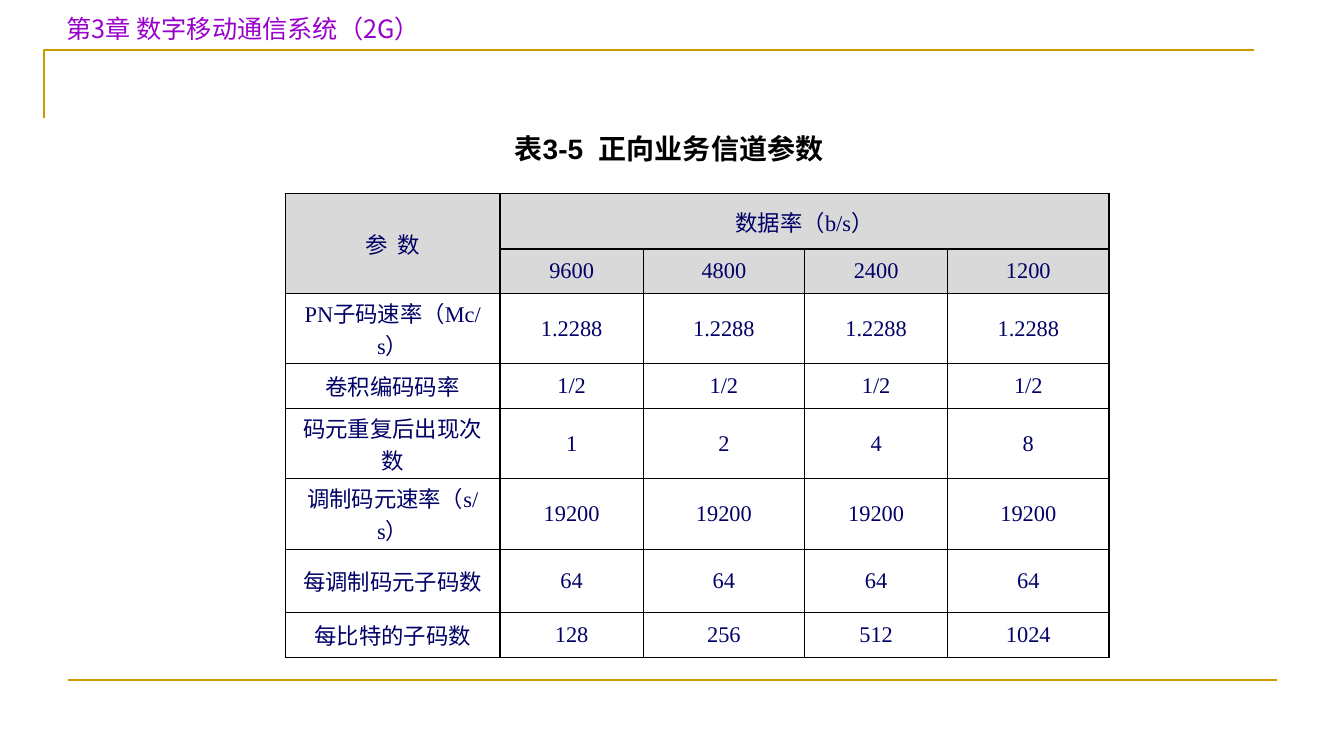
from lxml import etree
from pptx import Presentation
from pptx.dml.color import RGBColor
from pptx.enum import shapes, text
from pptx.oxml import ns
from pptx.util import Inches, Pt

# Content
CHAPTER = "第3章 数字移动通信系统（2G）"
CAPTION = "表3-5  正向业务信道参数"
CORNER, GROUP = "参  数", "数据率（b/s）"
RATES = ["9600", "4800", "2400", "1200"]
PARAMS = [
    ("PN子码速率（Mc/s）", ["1.2288"] * 4),
    ("卷积编码码率", ["1/2"] * 4),
    ("码元重复后出现次数", ["1", "2", "4", "8"]),
    ("调制码元速率（s/s）", ["19200"] * 4),
    ("每调制码元子码数", ["64"] * 4),
    ("每比特的子码数", ["128", "256", "512", "1024"]),
]

# Format values
GOLD, BLACK, GREY = "CC9900", "000000", "D9D9D9"
CJK = "Noto Sans CJK JP"
HEAD = {"size": Pt(18), "name": CJK, "bold": False, "color": "9900CC"}
TITLE = {"size": Pt(20), "name": "Arial", "bold": True, "color": BLACK}
CELL = {"size": Pt(16), "name": "Times New Roman", "bold": False,
        "color": "000066"}
COLS = [2.13, 1.42, 1.6, 1.42, 1.6]
ROWS = [0.55, 0.44, 0.7, 0.44, 0.7, 0.7, 0.63, 0.44]
LEFT, TOP = 2.83, 1.92


def rgb(code):
    return RGBColor.from_string(code)


def box(*sides):
    return [Inches(side) for side in sides]


def write(frame, words, form, align):
    """Fill a text frame with one formatted paragraph."""
    para = frame.paragraphs[0]
    para.alignment = align
    run = para.add_run()
    run.text = words
    for key, value in form.items():
        if key == "color":
            run.font.color.rgb = rgb(value)
        else:
            setattr(run.font, key, value)
    east = etree.SubElement(run.font._element, ns.qn("a:ea"))
    east.set("typeface", CJK)


def frame_up(frame, anchor):
    frame.word_wrap = True
    frame.auto_size = text.MSO_AUTO_SIZE.NONE
    frame.vertical_anchor = anchor


def border(cell):
    """Draw a thin black line on all four sides."""
    props = cell._tc.get_or_add_tcPr()
    for spot, side in enumerate(("lnL", "lnR", "lnT", "lnB")):
        line = etree.Element(ns.qn("a:" + side), w=str(Pt(1)))
        fill = etree.SubElement(line, ns.qn("a:solidFill"))
        etree.SubElement(fill, ns.qn("a:srgbClr"), val=BLACK)
        props.insert(spot, line)


def add_rules(slide):
    # Corner rule at the top
    pen = slide.shapes.build_freeform(*box(0.44, 1.17))
    pen.add_line_segments([box(0.44, 0.5), box(12.44, 0.5)], close=False)
    corner = pen.convert_to_shape()
    corner.shadow.inherit = False
    corner.fill.background()
    # Straight rule at the foot
    foot = slide.shapes.add_connector(
        shapes.MSO_CONNECTOR.STRAIGHT, *box(0.67, 6.75, 12.67, 6.75))
    etree.SubElement(foot._element.spPr, ns.qn("a:effectLst"))
    for rule in (corner, foot):
        rule.line.color.rgb = rgb(GOLD)
        rule.line.width = Pt(1.5)


def add_titles(slide):
    chapter = slide.shapes.add_textbox(*box(0.56, 0.08, 5.78, 0.4))
    frame_up(chapter.text_frame, text.MSO_ANCHOR.TOP)
    write(chapter.text_frame, CHAPTER, HEAD, text.PP_ALIGN.LEFT)
    title = slide.shapes.title
    title.left, title.top, title.width, title.height = box(
        5, 1.25, 3.27, 0.44)
    frame_up(title.text_frame, text.MSO_ANCHOR.MIDDLE)
    write(title.text_frame, CAPTION, TITLE, text.PP_ALIGN.CENTER)


def add_grid(slide):
    grid = slide.shapes.add_table(
        len(ROWS), len(COLS),
        *box(LEFT, TOP, sum(COLS), sum(ROWS))).table
    for col, wide in zip(grid.columns, COLS):
        col.width = Inches(wide)
    for row, tall in zip(grid.rows, ROWS):
        row.height = Inches(tall)
    grid.cell(0, 0).merge(grid.cell(1, 0))
    grid.cell(0, 1).merge(grid.cell(0, 4))
    lines = [[CORNER, GROUP, "", "", ""], ["", *RATES]]
    lines += [[name, *values] for name, values in PARAMS]
    for r, line in enumerate(lines):
        for c, words in enumerate(line):
            cell = grid.cell(r, c)
            cell.vertical_anchor = text.MSO_ANCHOR.MIDDLE
            cell.margin_top = cell.margin_bottom = Inches(0.02)
            if r < 2:
                cell.fill.solid()
                cell.fill.fore_color.rgb = rgb(GREY)
            else:
                cell.fill.background()
            border(cell)
            if words:
                write(cell.text_frame, words, CELL, text.PP_ALIGN.CENTER)


def main():
    deck = Presentation()
    deck.slide_width, deck.slide_height = box(13.33, 7.5)
    slide = deck.slides.add_slide(deck.slide_layouts.get_by_name("Title Only"))
    add_rules(slide)
    add_titles(slide)
    add_grid(slide)
    deck.save("out.pptx")


if __name__ == "__main__":
    main()
